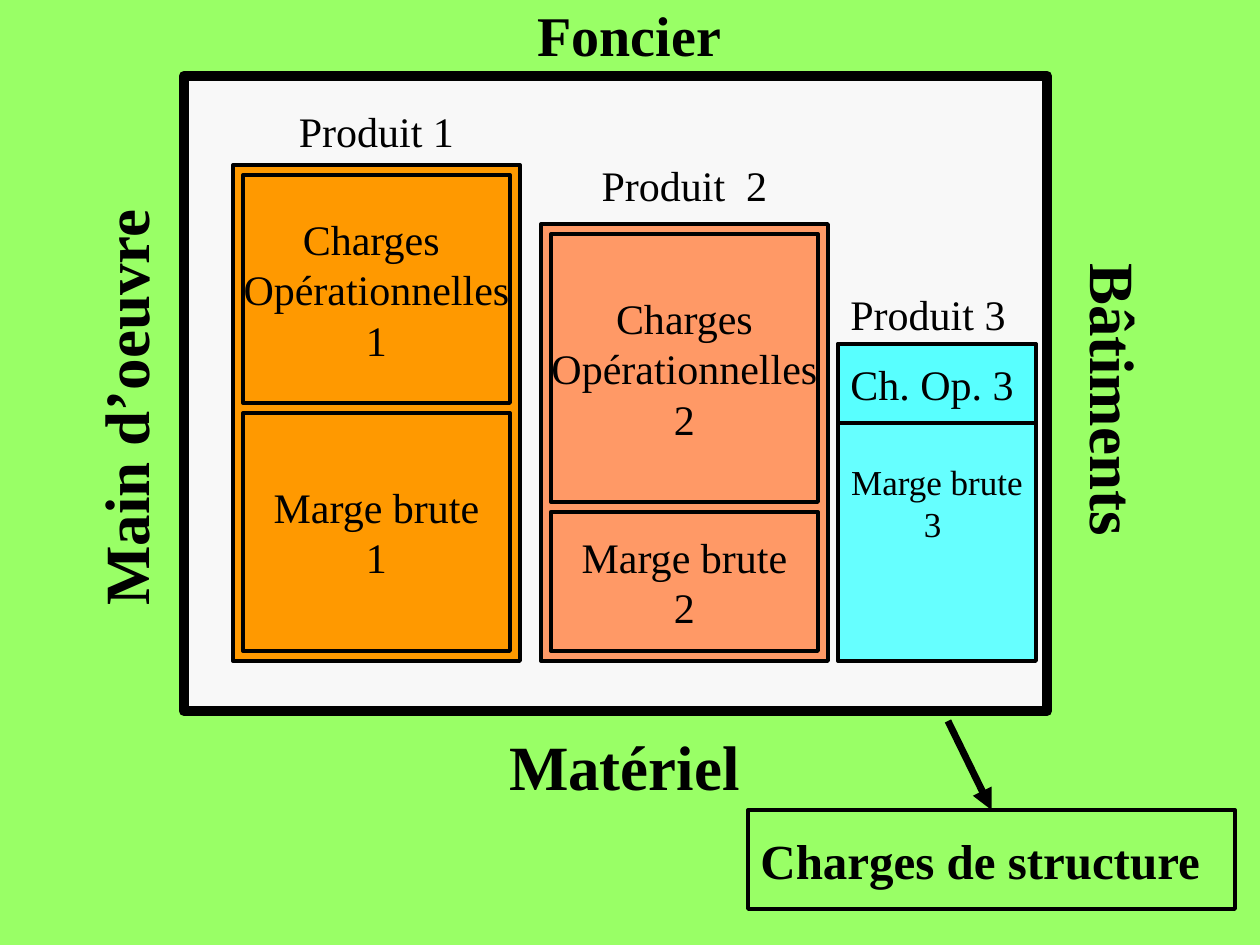
from pptx import Presentation, util as u
from pptx.dml.color import RGBColor
from pptx.enum import shapes, text
from pptx.oxml import parse_xml
from pptx.oxml.ns import nsdecls, qn

PX_PER_INCH = 126
FONT = "Times New Roman"
BLACK = "000000"
GAP = 10
BASELINE = 661
LEFT, CENTER = text.PP_ALIGN.LEFT, text.PP_ALIGN.CENTER


def px(length):
    return u.Emu(round(length * 914400 / PX_PER_INCH))


def color(hex_string):
    return RGBColor.from_string(hex_string)


def write(shape, lines, size, bold=False, align=CENTER):
    frame = shape.text_frame
    frame.word_wrap = False
    frame.vertical_anchor = text.MSO_ANCHOR.MIDDLE
    for index, line in enumerate(lines):
        paragraph = frame.add_paragraph() if index else frame.paragraphs[0]
        paragraph.alignment = align
        run = paragraph.add_run()
        run.text = line
        run.font.name = FONT
        run.font.size = u.Pt(size)
        run.font.bold = bold
        run.font.color.rgb = color(BLACK)


def add_label(slide, box, caption, size=24, bold=False, align=CENTER, rotation=0):
    label = slide.shapes.add_textbox(*map(px, box))
    label.rotation = rotation
    write(label, [caption], size, bold, align)


def add_block(slide, box, fill=None, line_width=2.25):
    block = slide.shapes.add_shape(shapes.MSO_SHAPE.RECTANGLE, *map(px, box))
    block.shadow.inherit = False
    if fill:
        block.fill.solid()
        block.fill.fore_color.rgb = color(fill)
    else:
        block.fill.background()
    block.line.color.rgb = color(BLACK)
    block.line.width = u.Pt(line_width)
    return block


def add_product(slide, left, top, fill, charges_height, charges, margin):
    """Stack the charges above the gross margin inside an outer block."""
    width, height = 287, BASELINE - top
    add_block(slide, (left, top, width, height), fill)
    inner_left, inner_width = left + GAP, width - 2 * GAP
    margin_top = top + 2 * GAP + charges_height
    margin_height = BASELINE - GAP - margin_top
    for part_top, part_height, lines in (
        (top + GAP, charges_height, charges),
        (margin_top, margin_height, margin),
    ):
        part = add_block(slide, (inner_left, part_top, inner_width, part_height), fill)
        write(part, lines, 24)


def add_arrow(slide, start, end, target):
    """Draw an arrow that ends at the top middle of the target."""
    arrow = slide.shapes.add_connector(
        shapes.MSO_CONNECTOR.STRAIGHT, *map(px, start + end))
    arrow.end_connect(target, 0)
    arrow.line.color.rgb = color(BLACK)
    arrow.line.width = u.Pt(4)
    properties = arrow._element.spPr
    properties.find(qn("a:ln")).append(
        parse_xml(f'<a:tailEnd {nsdecls("a")} type="triangle"/>'))
    properties.append(parse_xml(f'<a:effectLst {nsdecls("a")}/>'))


def main():
    deck = Presentation()
    deck.slide_width, deck.slide_height = u.Inches(10), u.Inches(7.5)
    slide = deck.slides.add_slide(deck.slide_layouts[6])
    slide.background.fill.solid()
    slide.background.fill.fore_color.rgb = color("99FF66")

    add_block(slide, (184, 76, 863, 635), "F8F8F8", 6)
    for box, factor, size, rotation in (
        ((312, 0, 635, 69), "Foncier", 32, 0),
        ((811, 360, 610, 79), "Bâtiments", 36, 90),
        ((292, 741, 665, 49), "Matériel", 36, 0),
        ((-208, 378, 665, 59), "Main d’oeuvre", 36, 270),
    ):
        add_label(slide, box, factor, size, True, rotation=rotation)

    structure = add_block(slide, (748, 810, 487, 99))
    write(structure, ["Charges de structure"], 28, True, LEFT)
    add_arrow(slide, (948, 721), (992, 810), structure)

    add_product(slide, 233, 165, "FF9900", 228,
                ["Charges ", "Opérationnelles", "1"], ["Marge brute", "1"])
    add_label(slide, (233, 106, 287, 49), "Produit 1")
    add_product(slide, 541, 224, "FF9966", 268,
                ["Charges", "Opérationnelles", "2"], ["Marge brute", "2"])
    add_label(slide, (541, 145, 287, 79), "Produit  2")

    left, top, width = 838, 344, 198
    margin = add_block(slide, (left, top, width, BASELINE - top), "66FFFF")
    write(margin, ["Marge brute", "3 "], 20)
    add_label(slide, (left, 294, width, 39), "Produit 3", align=LEFT)
    charges = add_block(slide, (left, top, width, 79), "58FFFF")
    write(charges, ["Ch. Op. 3"], 24, align=LEFT)

    deck.save("out.pptx")


if __name__ == "__main__":
    main()
